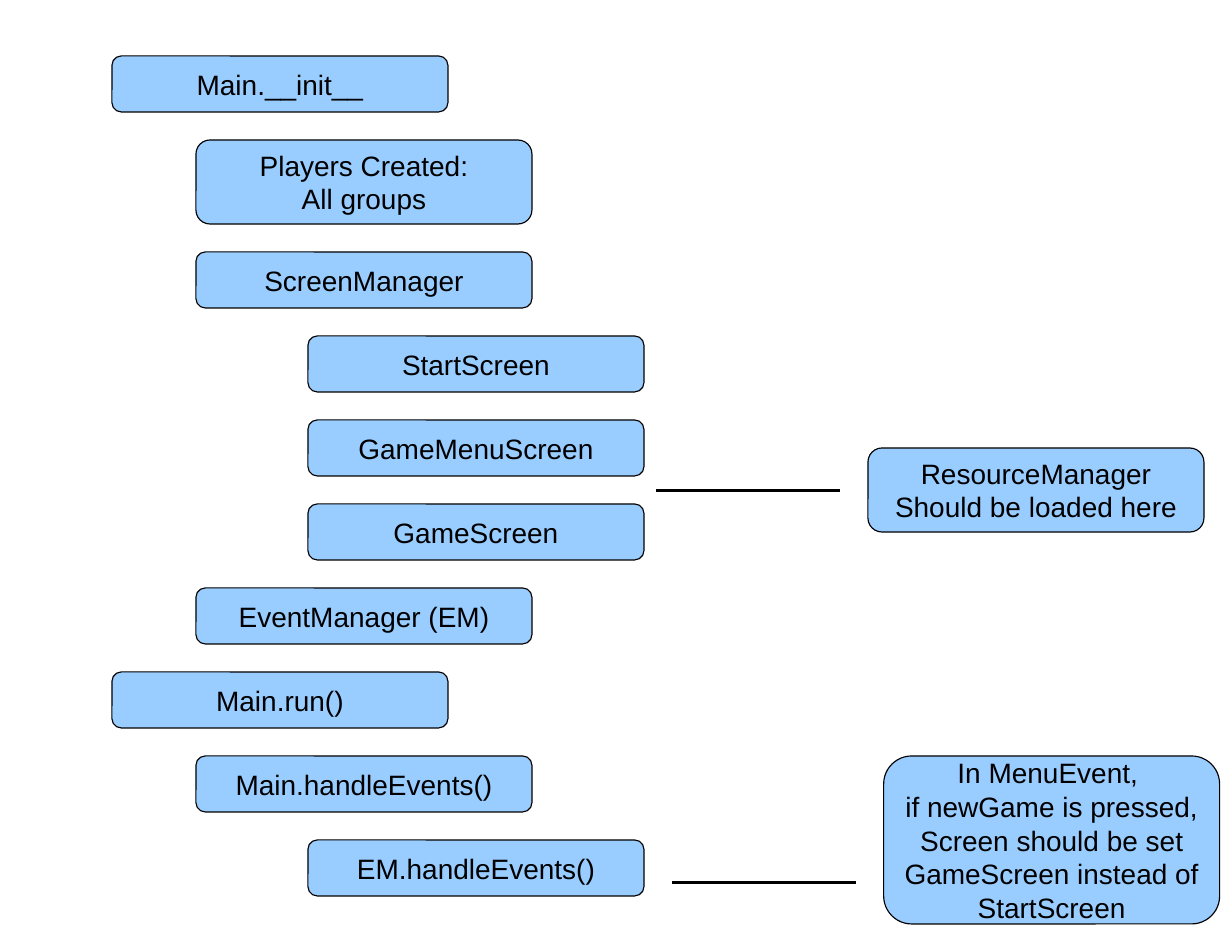
"""Builds a slide that outlines the call order of a game's Main class, with two side notes."""
from lxml import etree
from pptx import Presentation
from pptx.dml.color import RGBColor
from pptx.enum.shapes import MSO_CONNECTOR as Connector, MSO_SHAPE as Shape
from pptx.enum.text import MSO_ANCHOR as Anchor, PP_ALIGN as Align
from pptx.oxml.ns import qn
from pptx.util import Inches, Pt


def color(hex_string):
    return RGBColor.from_string(hex_string)


def add_box(page, left, top, height, lines):
    box = page.shapes.add_shape(
        Shape.ROUNDED_RECTANGLE, Inches(left), Inches(top), Inches(3), Inches(height))
    box.shadow.inherit = False
    box.fill.solid()
    box.fill.fore_color.rgb = color("99CCFF")
    box.line.color.rgb = color("000000")
    box.line.width = Pt(0)
    frame = box.text_frame
    frame.word_wrap = True
    frame.vertical_anchor = Anchor.MIDDLE
    for index, line in enumerate(lines):
        para = frame.add_paragraph() if index else frame.paragraphs[0]
        para.alignment = Align.CENTER
        span = para.add_run()
        span.text = line
        span.font.name = "Arial"
        span.font.size = Pt(18)
        span.font.color.rgb = color("000000")


deck = Presentation()
deck.slide_width = Inches(11)
deck.slide_height = Inches(8.5)
page = deck.slides.add_slide(deck.slide_layouts[6])

indents = [1, 1.75, 2.75]
gap = 0.25
calls = [
    (0, ["Main.__init__"]),
    (1, ["Players Created:", "All groups"]),
    (1, ["ScreenManager"]),
    (2, ["StartScreen"]),
    (2, ["GameMenuScreen"]),
    (2, ["GameScreen"]),
    (1, ["EventManager (EM)"]),
    (0, ["Main.run()"]),
    (1, ["Main.handleEvents()"]),
    (2, ["EM.handleEvents()"]),
]
top = 0.5
for level, lines in calls:
    height = 0.25 + 0.25 * len(lines)
    add_box(page, indents[level], top, height, lines)
    top += height + gap

notes = [
    (7.75, 4, 0.75, ["ResourceManager", "Should be loaded here"]),
    (7.89, 6.75, 1.5, ["In MenuEvent, ", "if newGame is pressed,", "Screen should be set",
                       "GameScreen instead of", "StartScreen"]),
]
for left, top, height, lines in notes:
    add_box(page, left, top, height, lines)

for left, height in [(5.86, 4.38), (6, 7.88)]:
    link = page.shapes.add_connector(
        Connector.ELBOW, Inches(left), Inches(height), Inches(left + 1.64), Inches(height))
    link.line.color.rgb = color("000000")
    link.line.width = Pt(0)
    etree.SubElement(link._element.spPr, qn("a:effectLst"))

deck.save("out.pptx")
